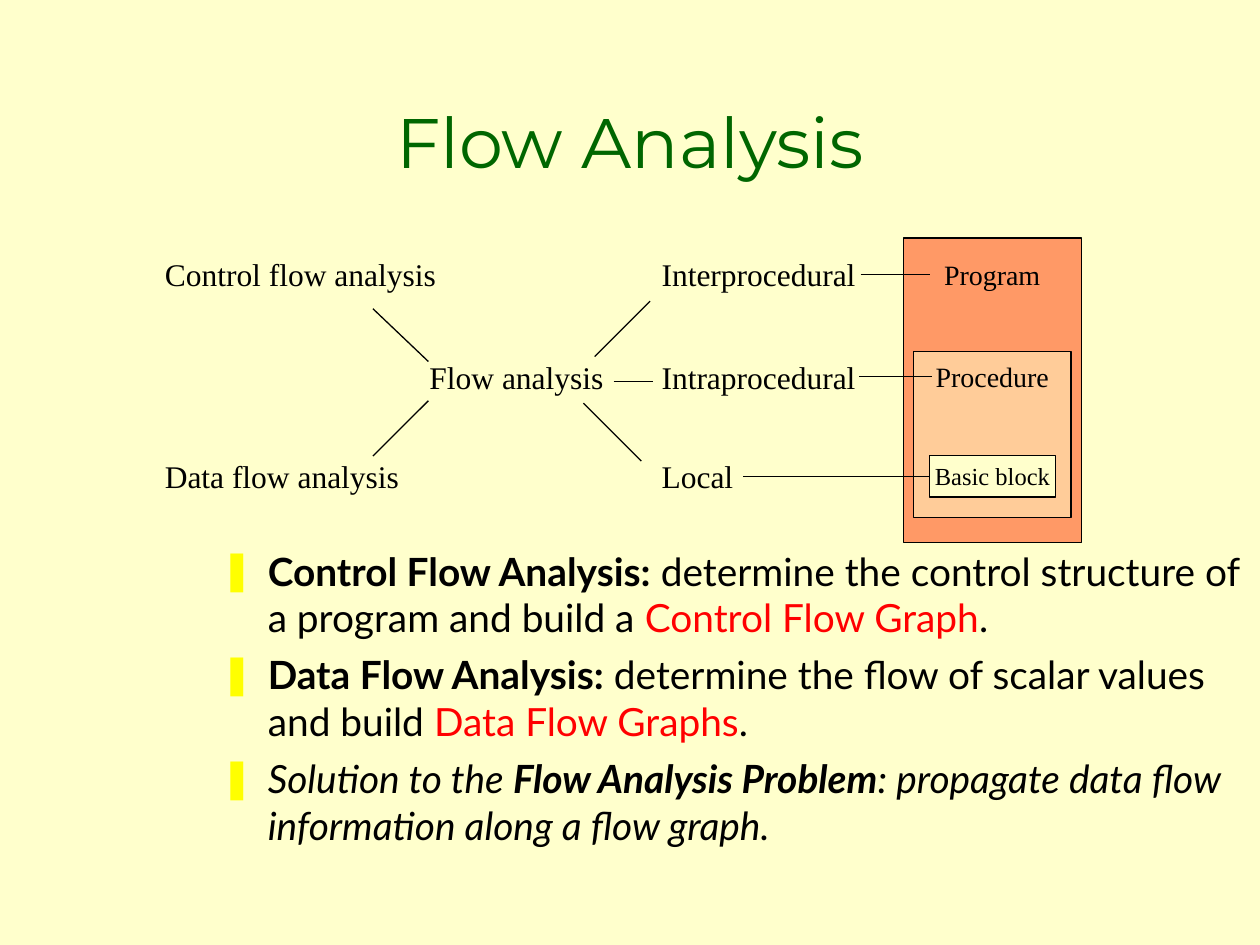
from dataclasses import dataclass

from lxml import etree
from pptx import Presentation
from pptx.dml.color import RGBColor
from pptx.enum.shapes import MSO_CONNECTOR, MSO_SHAPE
from pptx.enum.text import MSO_ANCHOR, MSO_AUTO_SIZE, PP_ALIGN
from pptx.oxml.ns import qn
from pptx.util import Pt

RECTANGLE, STRAIGHT = MSO_SHAPE.RECTANGLE, MSO_CONNECTOR.STRAIGHT
MIDDLE, BOTTOM = MSO_ANCHOR.MIDDLE, MSO_ANCHOR.BOTTOM
CENTER, LEFT = PP_ALIGN.CENTER, PP_ALIGN.LEFT
NO_FIT, GROW = MSO_AUTO_SIZE.NONE, MSO_AUTO_SIZE.SHAPE_TO_FIT_TEXT

CREAM = RGBColor(0xFF, 0xFF, 0xCC)
GREEN = RGBColor(0x00, 0x66, 0x00)
BLACK = RGBColor(0x00, 0x00, 0x00)
RED = RGBColor(0xFF, 0x00, 0x00)
YELLOW = RGBColor(0xFF, 0xFF, 0x00)
ORANGE = RGBColor(0xFF, 0x99, 0x66)
PEACH = RGBColor(0xFF, 0xCC, 0x99)

SERIF, TITLE_FONT, BODY_FONT = "Times New Roman", "Montserrat", "Lato"
LINE_WIDTH = 0.75
BULLET_INDENT = 27


@dataclass(frozen=True)
class Box:
    left: float
    top: float
    width: float
    height: float
    fill: RGBColor


@dataclass(frozen=True)
class Label:
    text: str
    left: float
    top: float
    width: float
    size: float = 18


@dataclass(frozen=True)
class Link:
    start: tuple[float, float]
    end: tuple[float, float]


@dataclass(frozen=True)
class Span:
    text: str
    bold: bool = False
    italic: bool = False
    color: RGBColor = BLACK


PROGRAM_BOX = Box(516.2, 136.1, 102, 174, ORANGE)
PROCEDURE_BOX = Box(522, 200.9, 90, 95, PEACH)
BLOCK_BOX = Box(531.2, 260.2, 72, 23.8, CREAM)

KIND_LEFT, SCOPE_LEFT = 87.1, 371
TOP_ROW, MIDDLE_ROW, BOTTOM_ROW = 142.2, 200.9, 257.4

LABELS = [
    Label("Program", 532.4, 143.6, 72, 16),
    Label("Procedure", 527.6, 201.9, 81, 16),
    Label("Interprocedural", SCOPE_LEFT, TOP_ROW, 127),
    Label("Intraprocedural", SCOPE_LEFT, MIDDLE_ROW, 127),
    Label("Local", SCOPE_LEFT, BOTTOM_ROW, 57),
    Label("Flow analysis", 238.3, MIDDLE_ROW, 115),
    Label("Data flow analysis", KIND_LEFT, BOTTOM_ROW, 150),
    Label("Control flow analysis", KIND_LEFT, TOP_ROW, 171),
]

LINKS = [
    Link((491.8, 157), (531.4, 157)),
    Link((491, 215.3), (532.8, 215.3)),
    Link((424.8, 272.2), (531.4, 272.2)),
    Link((213.1, 176.4), (244.8, 206.6)),
    Link((244.8, 229), (213.1, 260.6)),
    Link((333.4, 230.4), (366.5, 263.5)),
    Link((350.6, 218.2), (373, 218.2)),
    Link((371.5, 172.1), (339.8, 203.8)),
]

BULLETS = [
    [
        Span("Control Flow Analysis:", bold=True),
        Span(" determine the control structure of a program and build a "),
        Span("Control Flow Graph", color=RED),
        Span("."),
    ],
    [
        Span("Data Flow Analysis:", bold=True),
        Span(" determine the flow of scalar values and build "),
        Span("Data Flow Graphs", color=RED),
        Span("."),
    ],
    [
        Span("Solution to the ", italic=True),
        Span("Flow Analysis Problem", bold=True, italic=True),
        Span(": propagate data flow information along a flow graph.", italic=True),
    ],
]


def place(shape, left: float, top: float, width: float, height: float) -> None:
    shape.left, shape.top = Pt(left), Pt(top)
    shape.width, shape.height = Pt(width), Pt(height)


def add_text(paragraph, text: str, *, size: float, font: str = SERIF,
             color: RGBColor = BLACK, bold: bool = False,
             italic: bool = False, align=LEFT) -> None:
    paragraph.alignment = align
    run = paragraph.add_run()
    run.text = text
    run.font.name, run.font.size = font, Pt(size)
    run.font.bold, run.font.italic = bold, italic
    run.font.color.rgb = color


def add_box(slide, box: Box):
    shape = slide.shapes.add_shape(
        RECTANGLE, Pt(box.left), Pt(box.top), Pt(box.width), Pt(box.height))
    shape.shadow.inherit = False
    shape.fill.solid()
    shape.fill.fore_color.rgb = box.fill
    shape.line.color.rgb = BLACK
    shape.line.width = Pt(LINE_WIDTH)
    return shape


def add_label(slide, label: Label) -> None:
    text_box = slide.shapes.add_textbox(
        Pt(label.left), Pt(label.top), Pt(label.width), Pt(label.size * 1.2 + 7.2))
    frame = text_box.text_frame
    frame.word_wrap = False
    frame.auto_size = GROW
    add_text(frame.paragraphs[0], label.text, size=label.size)


def add_link(slide, link: Link) -> None:
    connector = slide.shapes.add_connector(
        STRAIGHT, *map(Pt, link.start), *map(Pt, link.end))
    connector.line.color.rgb = BLACK
    connector.line.width = Pt(LINE_WIDTH)
    etree.SubElement(connector._element.spPr, qn("a:effectLst"))


def set_bullet(paragraph) -> None:
    properties = paragraph._p.get_or_add_pPr()
    properties.set("marL", str(Pt(BULLET_INDENT)))
    properties.set("indent", str(-Pt(BULLET_INDENT)))
    color = etree.SubElement(properties, qn("a:buClr"))
    etree.SubElement(color, qn("a:srgbClr"), val=str(YELLOW))
    etree.SubElement(properties, qn("a:buChar"), char="❚")


def fill_title(title) -> None:
    place(title, 54, 18, 612, 90)
    frame = title.text_frame
    frame.auto_size = NO_FIT
    frame.vertical_anchor = BOTTOM
    add_text(frame.paragraphs[0], "Flow Analysis", size=40,
             font=TITLE_FONT, color=GREEN, align=CENTER)


def fill_body(body) -> None:
    place(body, 118.8, 309.1, 601.2, 212.4)
    body.fill.solid()
    body.fill.fore_color.rgb = CREAM
    frame = body.text_frame
    frame.auto_size = NO_FIT
    for index, spans in enumerate(BULLETS):
        paragraph = frame.add_paragraph() if index else frame.paragraphs[0]
        paragraph.space_before = Pt(6)
        set_bullet(paragraph)
        for span in spans:
            add_text(paragraph, span.text, size=22.2, font=BODY_FONT,
                     color=span.color, bold=span.bold, italic=span.italic)


def main() -> None:
    presentation = Presentation()
    presentation.slide_width, presentation.slide_height = Pt(720), Pt(540)
    slide = presentation.slides.add_slide(presentation.slide_layouts[1])
    slide.background.fill.solid()
    slide.background.fill.fore_color.rgb = CREAM
    fill_title(slide.shapes.title)
    fill_body(slide.placeholders[1])
    add_box(slide, PROGRAM_BOX)
    add_box(slide, PROCEDURE_BOX)
    frame = add_box(slide, BLOCK_BOX).text_frame
    frame.word_wrap = False
    frame.vertical_anchor = MIDDLE
    add_text(frame.paragraphs[0], "Basic block", size=14, align=CENTER)
    for label in LABELS:
        add_label(slide, label)
    for link in LINKS:
        add_link(slide, link)
    presentation.save("out.pptx")


if __name__ == "__main__":
    main()
